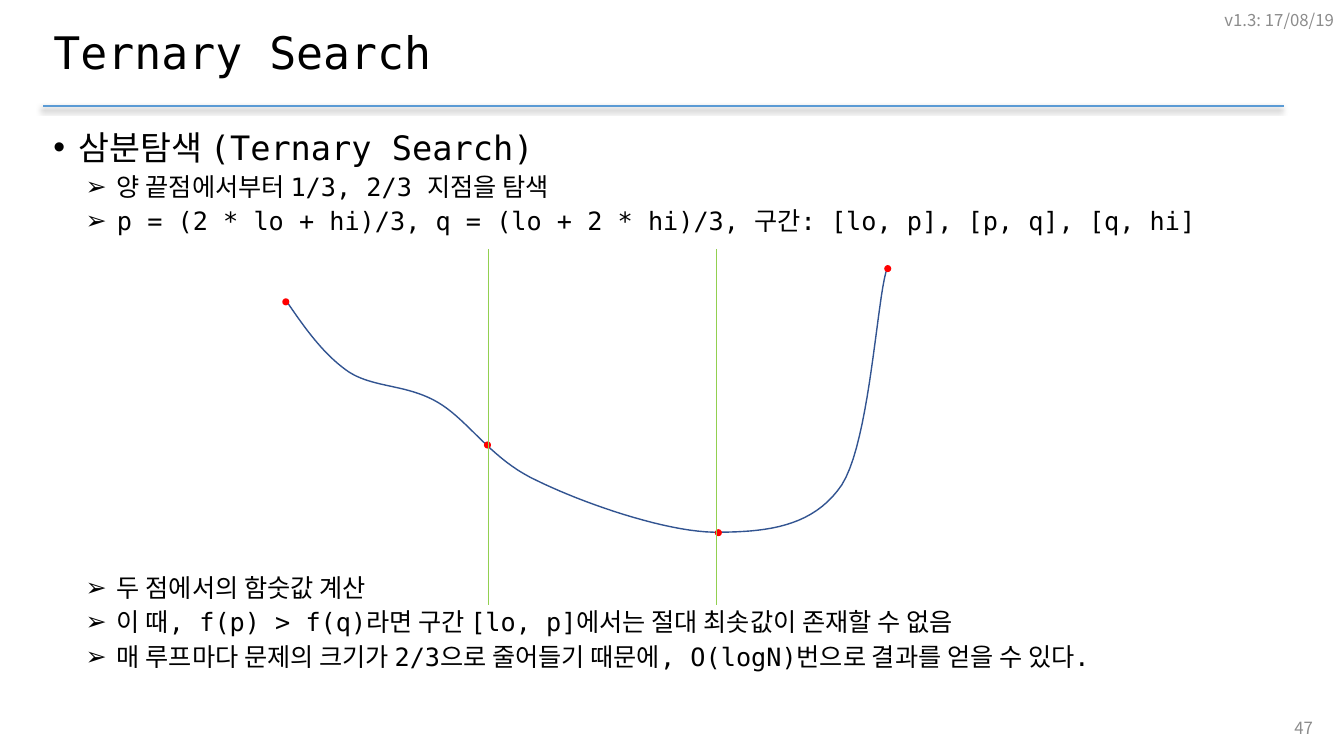
import pptx
import pptx.dml.color
import pptx.enum.shapes
import pptx.enum.text
import pptx.oxml
import pptx.oxml.ns
import pptx.util
from pptx.util import Inches

MONO = "DejaVu Sans Mono"
KOREAN = "Noto Sans CJK KR"
ALIGN = pptx.enum.text.PP_ALIGN
MIDDLE = pptx.enum.text.MSO_ANCHOR.MIDDLE


def color(value):
    return pptx.dml.color.RGBColor.from_string(value)


def write(paragraph, text, size, name, value, **layout):
    run = paragraph.add_run()
    run.text = text
    formats = {"size": pptx.util.Pt(size), "name": name, "bold": False}
    for key, setting in formats.items():
        setattr(run.font, key, setting)
    run.font.color.rgb = color(value)
    east_asian = pptx.oxml.parse_xml(
        f'<a:ea {pptx.oxml.ns.nsdecls("a")} typeface="{KOREAN}"/>')
    run.font._element.append(east_asian)
    for key, setting in layout.items():
        setattr(paragraph, key, setting)


presentation = pptx.Presentation()
presentation.slide_width = Inches(13.33)
presentation.slide_height = Inches(7.5)
slide = presentation.slides.add_slide(presentation.slide_layouts[1])
shapes = slide.shapes
title = shapes.title
body = slide.placeholders[1]

for placeholder, top, height, anchor in [
    (title, 0.18, 0.74, MIDDLE),
    (body, 1.25, 5.96, pptx.enum.text.MSO_ANCHOR.TOP),
]:
    frame = {"left": 0.43, "top": top, "width": 12.31, "height": height}
    for key, length in frame.items():
        setattr(placeholder, key, Inches(length))
    placeholder.text_frame.auto_size = pptx.enum.text.MSO_AUTO_SIZE.NONE
    placeholder.text_frame.vertical_anchor = anchor

write(title.text_frame.paragraphs[0], "Ternary Search", 32, MONO, "000000",
      alignment=ALIGN.LEFT, line_spacing=0.9)

diagram_gap = 243
items = [
    ("삼분탐색 (Ternary Search)", 0, 0),
    ("양 끝점에서부터 1/3, 2/3 지점을 탐색", 1, 5),
    ("p = (2 * lo + hi)/3, q = (lo + 2 * hi)/3, 구간: [lo, p], [p, q], [q, hi]", 1, 5),
    ("두 점에서의 함숫값 계산", 1, diagram_gap),
    ("이 때, f(p) > f(q)라면 구간 [lo, p]에서는 절대 최솟값이 존재할 수 없음", 1, 5),
    ("매 루프마다 문제의 크기가 2/3으로 줄어들기 때문에, O(logN)번으로 결과를 얻을 수 있다.", 1, 5),
]
levels = [(24, "•", 0.25, -0.25), (18, "➢", 0.63, -0.31)]
for index, (text, level, space_before) in enumerate(items):
    size, bullet, margin, indent = levels[level]
    text_frame = body.text_frame
    paragraph = text_frame.add_paragraph() if index else text_frame.paragraphs[0]
    properties = paragraph._p.get_or_add_pPr()
    properties.set("marL", str(Inches(margin)))
    properties.set("indent", str(Inches(indent)))
    properties.append(pptx.oxml.parse_xml(
        f'<a:buChar {pptx.oxml.ns.nsdecls("a")} char="{bullet}"/>'))
    write(paragraph, text, size, MONO, "000000", level=level, line_spacing=0.9,
          space_before=pptx.util.Pt(space_before))

for text, left, top, width in [
    ("v1.3: 17/08/19", 8.83, 0, 4.5),
    ("47", 10.12, 7.02, 3),
]:
    label = shapes.add_textbox(Inches(left), Inches(top), Inches(width), Inches(0.4))
    label.text_frame.word_wrap = True
    label.text_frame.vertical_anchor = MIDDLE
    write(label.text_frame.paragraphs[0], text, 12, KOREAN, "8C8C8C",
          alignment=ALIGN.RIGHT)

curve_start = (2.83, 2.97)
curve_segments = [
    [(3.02, 3.25), (3.21, 3.52), (3.46, 3.69)],
    [(3.71, 3.85), (4.03, 3.81), (4.34, 3.99)],
    [(4.65, 4.17), (4.87, 4.56), (5.33, 4.77)],
    [(5.78, 4.99), (6.58, 5.27), (7.08, 5.28)],
    [(7.58, 5.28), (8.06, 5.24), (8.35, 4.81)],
    [(8.63, 4.37), (8.7, 2.92), (8.8, 2.66)],
]
steps = 20
curve_points = []
start = curve_start
for segment in curve_segments:
    controls = [start, *segment]
    for step in range(1, steps + 1):
        t = step / steps
        weights = [(1 - t) ** 3, 3 * t * (1 - t) ** 2, 3 * t ** 2 * (1 - t), t ** 3]
        curve_points.append(tuple(
            Inches(sum(weight * control[axis] for weight, control in zip(weights, controls)))
            for axis in (0, 1)))
    start = segment[-1]
builder = shapes.build_freeform(Inches(curve_start[0]), Inches(curve_start[1]))
builder.add_line_segments(curve_points, close=False)
curve = builder.convert_to_shape()
curve.shadow.inherit = False
curve.fill.background()
curve.line.color.rgb = color("325491")
curve.line.width = pptx.util.Pt(1)

dot_size = 0.07
for left, top in [(8.77, 2.63), (2.8, 2.96), (7.09, 5.25), (4.8, 4.38)]:
    dot = shapes.add_shape(pptx.enum.shapes.MSO_SHAPE.OVAL, Inches(left), Inches(top),
                           Inches(dot_size), Inches(dot_size))
    dot.shadow.inherit = False
    dot.fill.solid()
    dot.fill.fore_color.rgb = color("FF0000")
    dot.line.fill.background()

rule_shadow = (
    f'<a:outerShdw blurRad="{pptx.util.Pt(4)}" dist="{pptx.util.Pt(3)}" dir="8100000" '
    'algn="tr" rotWithShape="0"><a:srgbClr val="000000"><a:alpha val="40000"/>'
    '</a:srgbClr></a:outerShdw>')
for x1, y1, x2, y2, value, width, effect in [
    (0.43, 1.05, 12.74, 1.05, "5B9BD5", 1.5, rule_shadow),
    (4.84, 2.47, 4.84, 6, "92D050", 0.5, ""),
    (7.11, 2.47, 7.11, 6, "92D050", 0.5, ""),
]:
    connector = shapes.add_connector(pptx.enum.shapes.MSO_CONNECTOR.STRAIGHT,
                                     Inches(x1), Inches(y1), Inches(x2), Inches(y2))
    connector.line.color.rgb = color(value)
    connector.line.width = pptx.util.Pt(width)
    connector._element.spPr.append(pptx.oxml.parse_xml(
        f'<a:effectLst {pptx.oxml.ns.nsdecls("a")}>{effect}</a:effectLst>'))

presentation.save("out.pptx")
